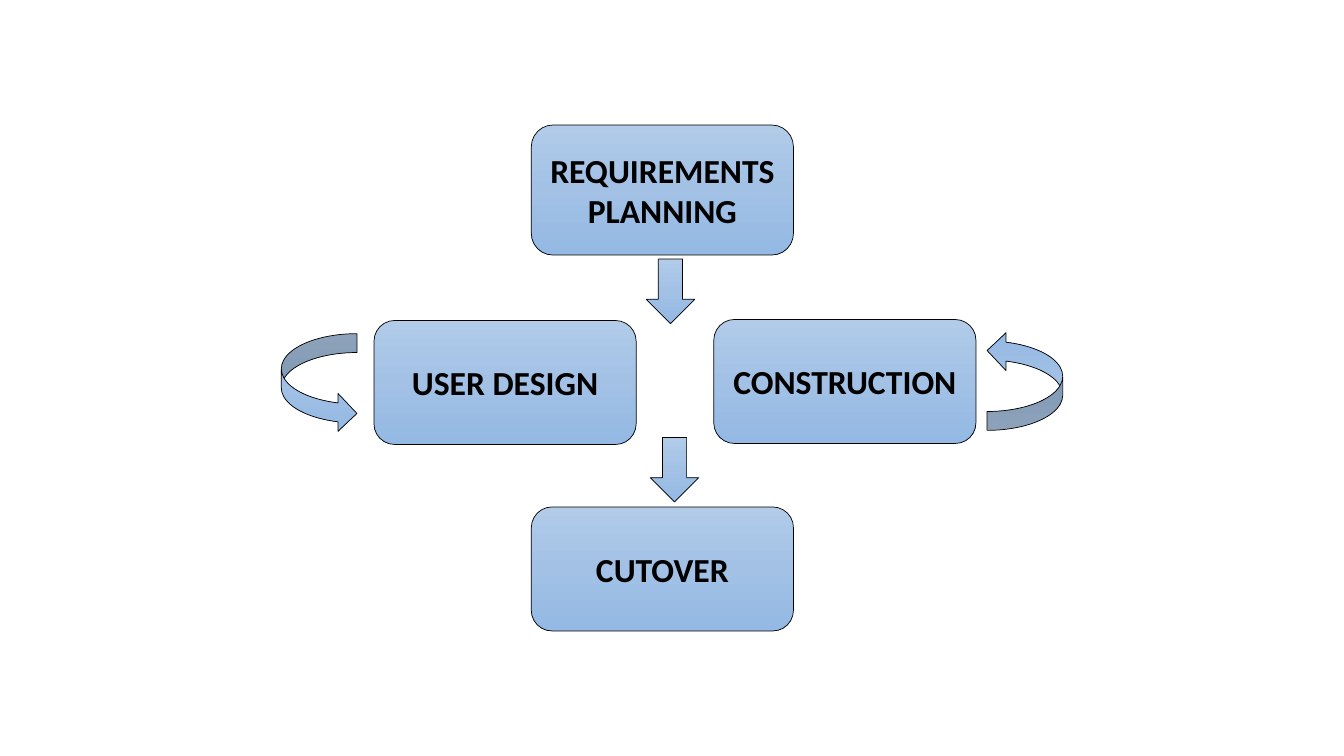
import copy

import pptx
import pptx.dml.color
import pptx.enum.shapes
import pptx.enum.text
import pptx.oxml.ns
import pptx.util

Inches = pptx.util.Inches
RGBColor = pptx.dml.color.RGBColor
SHAPE = pptx.enum.shapes.MSO_SHAPE

# Content: phases as (text, left, top, height), arrows as (kind, left, top, flipped)
PHASES = [
    ("REQUIREMENTS PLANNING", 5.27, 1.24, 1.29),
    ("USER DESIGN", 3.71, 3.18, 1.23),
    ("CONSTRUCTION", 7.08, 3.17, 1.23),
    ("CUTOVER", 5.27, 5.03, 1.23),
]
ARROWS = [
    (SHAPE.DOWN_ARROW, 6.41, 2.57, False),
    (SHAPE.DOWN_ARROW, 6.45, 4.34, False),
    (SHAPE.CURVED_RIGHT_ARROW, 2.79, 3.31, False),
    (SHAPE.CURVED_LEFT_ARROW, 9.79, 3.29, True),
]

# Style
PHASE_WIDTH = 2.6
DOWN_SIZE = (0.48, 0.64)
LOOP_SIZE = (0.75, 0.98)
BLACK = RGBColor(0x00, 0x00, 0x00)
GRADIENT = [
    (0, RGBColor(0xB1, 0xCB, 0xE9)),
    (0.5, RGBColor(0xA3, 0xC1, 0xE5)),
    (1, RGBColor(0x93, 0xB9, 0xE4)),
]


def add_gradient_shape(slide, kind, left, top, width, height):
    shape = slide.shapes.add_shape(
        kind, Inches(left), Inches(top), Inches(width), Inches(height))
    shape.shadow.inherit = False
    shape.fill.gradient()
    shape.fill.gradient_angle = 270  # counter-clockwise: light at the top
    # The default gradient has two stops; add a third
    stop_list = next(shape._element.spPr.iter(pptx.oxml.ns.qn("a:gsLst")))
    stop_list.append(copy.deepcopy(stop_list[-1]))
    for stop, (position, color) in zip(shape.fill.gradient_stops, GRADIENT):
        stop.position = position
        stop.color.rgb = color
    shape.line.color.rgb = BLACK
    shape.line.width = pptx.util.Pt(0.5)
    return shape


presentation = pptx.Presentation()
presentation.slide_width = Inches(13.33)
presentation.slide_height = Inches(7.5)
slide = presentation.slides.add_slide(presentation.slide_layouts[6])

# Phase boxes
for text, left, top, height in PHASES:
    box = add_gradient_shape(
        slide, SHAPE.ROUNDED_RECTANGLE, left, top, PHASE_WIDTH, height)
    frame = box.text_frame
    frame.text = text
    frame.word_wrap = True
    frame.vertical_anchor = pptx.enum.text.MSO_ANCHOR.MIDDLE
    paragraph = frame.paragraphs[0]
    paragraph.alignment = pptx.enum.text.PP_ALIGN.CENTER
    font = paragraph.runs[0].font
    font.name = "Calibri"
    font.size = pptx.util.Pt(24)
    font.bold = True
    font.color.rgb = BLACK

# Arrows between phases and the two loops
for kind, left, top, flipped in ARROWS:
    width, height = DOWN_SIZE if kind == SHAPE.DOWN_ARROW else LOOP_SIZE
    arrow = add_gradient_shape(slide, kind, left, top, width, height)
    if flipped:
        arrow._element.spPr.xfrm.set("flipV", "1")

presentation.save("out.pptx")
